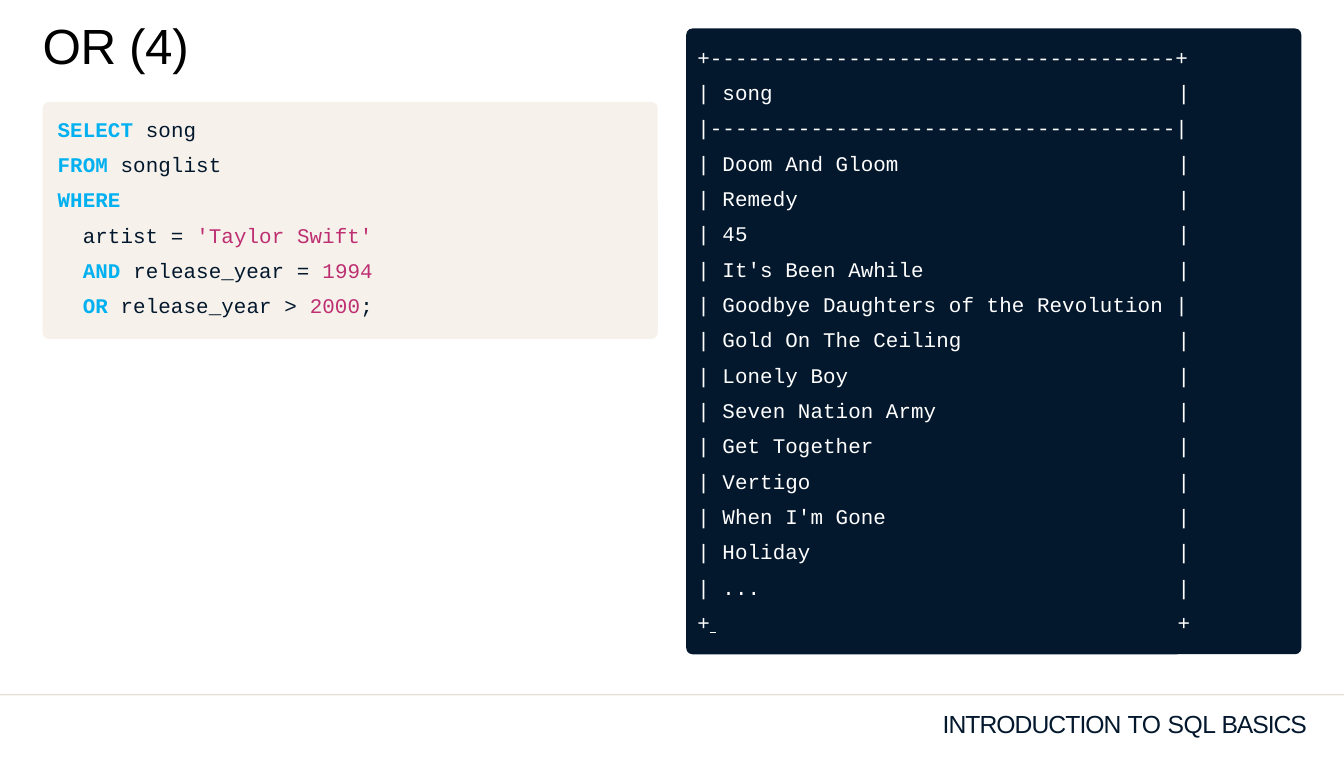
from lxml import etree
from pptx import Presentation, util as u
from pptx.dml.color import RGBColor
from pptx.enum import shapes, text
from pptx.oxml.ns import qn

COLORS = {"navy": "04182D", "cream": "F6F2EB", "rule": "E4E1D9", "keyword": "00B0F0",
          "literal": "BE2F72", "white": "FFFFFF", "black": "000000"}
WIDTH, HEIGHT = 17.01, 9.58
MARGIN, GUTTER = 0.54, 0.36
COLUMN = (WIDTH - 2 * MARGIN - GUTTER) / 2
RIGHT = MARGIN + COLUMN + GUTTER
CODE, SANS = "Courier New", "Arial"
ROW = 32.2

presentation = Presentation()
presentation.slide_width, presentation.slide_height = u.Inches(WIDTH), u.Inches(HEIGHT)
slide = presentation.slides.add_slide(presentation.slide_layouts[5])


def prepare(shape, left, top, width, height):
    shape.left, shape.top, shape.width, shape.height = map(u.Inches, (left, top, width, height))
    frame = shape.text_frame
    frame.margin_left = frame.margin_top = frame.margin_right = frame.margin_bottom = 0
    frame.word_wrap = True
    frame.auto_size = text.MSO_AUTO_SIZE.NONE
    frame.vertical_anchor = text.MSO_ANCHOR.TOP
    frame.paragraphs[0].alignment = text.PP_ALIGN.LEFT
    return frame


def add_run(paragraph, words, color, size=19, font=CODE, spacing=0.1, bold=False, underline=False):
    run = paragraph.add_run()
    run.text = words
    run.font.size, run.font.name = u.Pt(size), font
    run.font.bold, run.font.underline = bold, underline
    run.font.color.rgb = RGBColor.from_string(COLORS[color])
    run._r.get_or_add_rPr().set("spc", str(round(spacing * 100)))


frame = prepare(slide.shapes.title, MARGIN, 0.19, COLUMN, 0.78)
add_run(frame.paragraphs[0], "OR (4)", "black", 45, SANS, -0.4)

for kind, left, top, width, height, color in [
    (shapes.MSO_SHAPE.RECTANGLE, 0, 8.78, WIDTH, 0.02, "rule"),
    (shapes.MSO_SHAPE.ROUNDED_RECTANGLE, MARGIN, 1.29, COLUMN, 3, "cream"),
    (shapes.MSO_SHAPE.ROUNDED_RECTANGLE, RIGHT, 0.36, COLUMN, 7.92, "navy"),
]:
    shape = slide.shapes.add_shape(kind, *map(u.Inches, (left, top, width, height)))
    shape.shadow.inherit = False
    shape.fill.solid()
    shape.fill.fore_color.rgb = RGBColor.from_string(COLORS[color])
    shape.line.fill.background()
    if kind == shapes.MSO_SHAPE.ROUNDED_RECTANGLE:
        shape.adjustments[0] = 0.08 / min(width, height)

query = [
    [("SELECT", "keyword"), (" song", "navy")],
    [("FROM", "keyword"), (" songlist", "navy")],
    [("WHERE", "keyword")],
    [("  artist = ", "navy"), ("'Taylor Swift'", "literal")],
    [("  AND", "keyword"), (" release_year = ", "navy"), ("1994", "literal")],
    [("  OR", "keyword"), (" release_year > ", "navy"), ("2000", "literal"), (";", "navy")],
]
frame = prepare(slide.shapes.add_textbox(0, 0, 0, 0), MARGIN + 0.19, 1.34, COLUMN - 0.4, 2.8)
for index, line in enumerate(query):
    paragraph = frame.add_paragraph() if index else frame.paragraphs[0]
    paragraph.line_spacing = u.Pt(ROW)
    for words, color in line:
        add_run(paragraph, words, color, bold=color == "keyword")

songs = ["Doom And Gloom", "Remedy", "45", "It's Been Awhile",
         "Goodbye Daughters of the Revolution", "Gold On The Ceiling", "Lonely Boy",
         "Seven Nation Army", "Get Together", "Vertigo", "When I'm Gone", "Holiday", "..."]
longest = max(songs, key=len)
dashes = "-" * (len(longest) + 2)
rows = [f"+{dashes}+", "| song\t|", f"|{dashes}|"]
rows += [f"| {song} |" if song == longest else f"| {song}\t|" for song in songs]
rows.append("+")
frame = prepare(slide.shapes.add_textbox(0, 0, 0, 0), RIGHT + 0.14, 0.43, COLUMN - 0.3, 7.7)
for index, row in enumerate(rows):
    paragraph = frame.add_paragraph() if index else frame.paragraphs[0]
    paragraph.line_spacing = u.Pt(ROW)
    tabs = etree.SubElement(paragraph._p.get_or_add_pPr(), qn("a:tabLst"))
    etree.SubElement(tabs, qn("a:tab"), pos=str(u.Inches(6.08)), algn="l")
    add_run(paragraph, row, "white")
add_run(paragraph, " \t", "white", font=SANS, spacing=0, underline=True)
add_run(paragraph, "+", "white")

frame = prepare(slide.shapes.add_textbox(0, 0, 0, 0), 11.65, 8.97, 4.89, 0.38)
frame.paragraphs[0].alignment = text.PP_ALIGN.RIGHT
for words, spacing in [("INTRODUCTION", -0.9), (" TO ", -0.3), ("SQL ", -0.5), ("BASICS", -1)]:
    add_run(frame.paragraphs[0], words, "navy", 22.5, SANS, spacing)

presentation.save("out.pptx")
